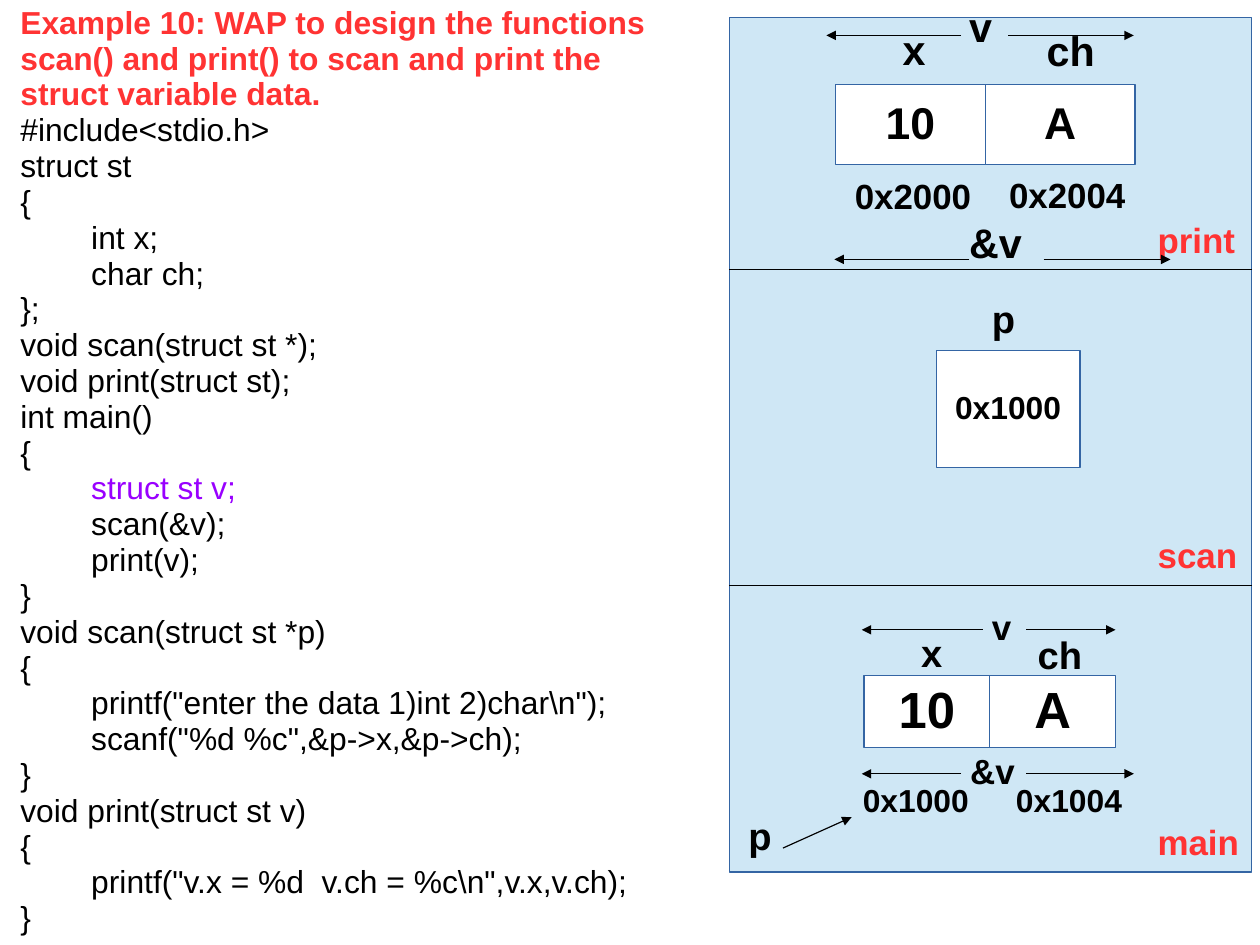
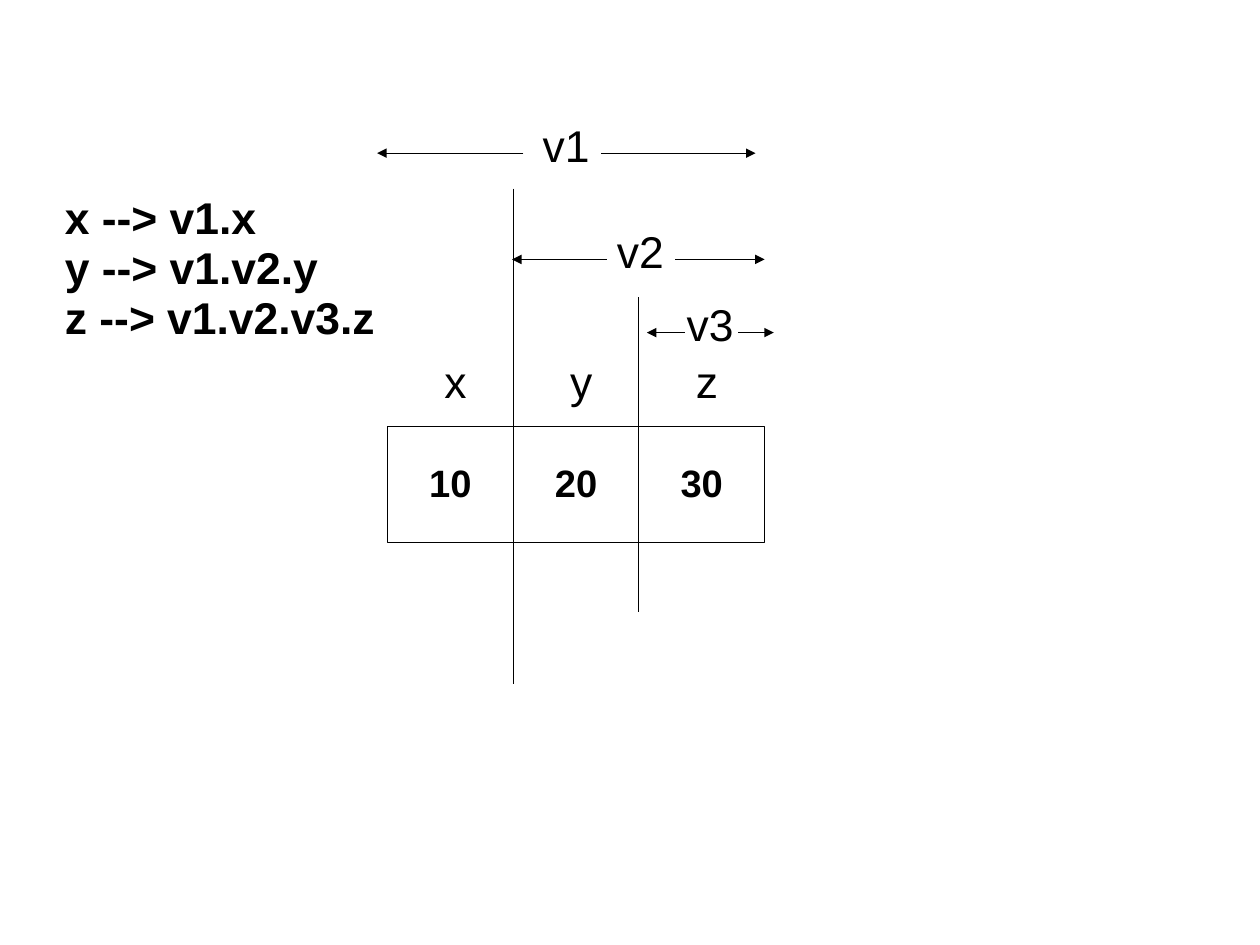
from pptx import Presentation
from pptx.dml.color import RGBColor
from pptx.enum import shapes, text
from pptx.oxml import ns
from pptx.util import Inches, Pt
from lxml import etree

BLACK = RGBColor(0x00, 0x00, 0x00)
WHITE = RGBColor(0xFF, 0xFF, 0xFF)
RED = RGBColor(0xFF, 0x33, 0x33)
PURPLE = RGBColor(0x99, 0x00, 0xFF)
SKY = RGBColor(0xCF, 0xE7, 0xF5)
BLUE = RGBColor(0x34, 0x65, 0xA4)

HEADING = ("Example 10: WAP to design the functions scan() and print() "
           "to scan and print the struct variable data.")
PROGRAM = r'''#include<stdio.h>
struct st
{
    int x;
    char ch;
};
void scan(struct st *);
void print(struct st);
int main()
{
    struct st v;
    scan(&v);
    print(v);
}
void scan(struct st *p)
{
    printf("enter the data 1)int 2)char\n");
    scanf("%d %c",&p->x,&p->ch);
}
void print(struct st v)
{
    printf("v.x = %d  v.ch = %c\n",v.x,v.ch);
}'''


class Deck:
    font_name = "Arial"
    line_spacing = 0.94
    line_width = Pt(0.75)
    code_indent = Inches(0.62)

    def __init__(self, prs):
        self.prs = prs
        self.slide = None

    def new_slide(self):
        self.slide = self.prs.slides.add_slide(self.prs.slide_layouts[6])

    def style(self, paragraph, size, color=BLACK, bold=True):
        paragraph.line_spacing = self.line_spacing
        font = paragraph.font
        font.name, font.size, font.bold = self.font_name, Pt(size), bold
        font.color.rgb = color

    def box(self, x, y, w, h, fill=WHITE, line=BLUE):
        shape = self.slide.shapes.add_shape(
            shapes.MSO_SHAPE.RECTANGLE, Inches(x), Inches(y), Inches(w), Inches(h))
        shape.shadow.inherit = False
        shape.fill.solid()
        shape.fill.fore_color.rgb = fill
        shape.line.color.rgb = line
        shape.line.width = self.line_width
        return shape

    def cells(self, x, y, w, h, values, size, line=BLUE):
        for i, value in enumerate(values):
            frame = self.box(x + i * w, y, w, h, line=line).text_frame
            frame.word_wrap = False
            frame.vertical_anchor = text.MSO_ANCHOR.MIDDLE
            paragraph = frame.paragraphs[0]
            paragraph.text = value
            paragraph.alignment = text.PP_ALIGN.CENTER
            self.style(paragraph, size)

    def text_frame(self, x, y, w, h, wrap=False):
        frame = self.slide.shapes.add_textbox(
            Inches(x), Inches(y), Inches(w), Inches(h)).text_frame
        frame.word_wrap = wrap
        return frame

    def label(self, x, y, w, words, size, color=BLACK, bold=True):
        height = round(size * 1.21 / 72 + 0.1, 2)
        paragraph = self.text_frame(x, y, w, height).paragraphs[0]
        paragraph.text = words
        self.style(paragraph, size, color, bold)

    def lines(self, x, y, w, h, rows, size):
        frame = self.text_frame(x, y, w, h, wrap=True)
        for i, (words, color, bold) in enumerate(rows):
            paragraph = frame.add_paragraph() if i else frame.paragraphs[0]
            paragraph.text = words.lstrip()
            self.style(paragraph, size, color, bold)
            if words.startswith(" "):
                properties = paragraph._p.get_or_add_pPr()
                properties.set("marL", str(self.code_indent))
                properties.set("indent", "0")

    def line(self, x1, y1, x2, y2, arrow=False):
        connector = self.slide.shapes.add_connector(
            shapes.MSO_CONNECTOR.STRAIGHT,
            Inches(x1), Inches(y1), Inches(x2), Inches(y2))
        connector.line.color.rgb = BLACK
        connector.line.width = self.line_width
        properties = connector._element.spPr
        if arrow:
            etree.SubElement(properties.find(ns.qn("a:ln")),
                             ns.qn("a:tailEnd"), type="triangle")
        etree.SubElement(properties, ns.qn("a:effectLst"))

    def span(self, y, left, gap_left, gap_right, right):
        self.line(gap_left, y, left, y, arrow=True)
        self.line(gap_right, y, right, y, arrow=True)


def stack_frames(deck):
    deck.new_slide()
    left, width = 6.38, 4.57
    deck.box(left, 0.15, width, 7.48, fill=SKY)
    for y in (2.36, 5.12):
        deck.line(left, y, left + width, y)
    for name, y in (("print", 1.89), ("scan", 4.65), ("main", 7.16)):
        deck.label(10.03, y, 0.95, name, 22, RED)

    rows = [(HEADING, RED, True)]
    for code in PROGRAM.splitlines():
        color = PURPLE if code.strip() == "struct st v;" else BLACK
        rows.append((code, color, False))
    deck.lines(0.08, 0, 5.9, 7.48, rows, 20)

    deck.cells(7.31, 0.74, 1.31, 0.7, ("10", "A"), 28)
    deck.cells(8.19, 3.07, 1.26, 1.02, ("0x1000",), 20)
    deck.cells(7.56, 5.91, 1.1, 0.63, ("10", "A"), 32)

    for words, x, y, w, size in (
            ("v", 8.38, 0, 0.44, 26), ("x", 7.8, 0.2, 0.47, 26),
            ("ch", 9.06, 0.21, 1, 26), ("&v", 8.38, 1.89, 0.83, 26),
            ("0x2000", 7.38, 1.51, 1.22, 22), ("0x2004", 8.73, 1.5, 1.22, 22),
            ("p", 8.58, 2.57, 0.42, 24), ("p", 6.45, 7.09, 0.42, 24),
            ("v", 8.58, 5.28, 0.39, 22), ("x", 7.96, 5.49, 0.4, 24),
            ("ch", 8.98, 5.51, 0.61, 24), ("&v", 8.39, 6.54, 0.61, 22),
            ("0x1000", 7.45, 6.81, 1.15, 20), ("0x1004", 8.79, 6.81, 1.15, 20)):
        deck.label(x, y, w, words, size)

    deck.span(0.31, 7.23, 8.41, 8.82, 9.92)
    deck.span(2.27, 7.3, 8.48, 9.13, 10.24)
    deck.span(5.51, 7.54, 8.6, 8.98, 9.76)
    deck.span(6.77, 7.54, 8.41, 8.98, 9.92)
    deck.line(6.85, 7.42, 7.45, 7.15, arrow=True)


def nested_members(deck):
    deck.new_slide()
    left, cell = 3.39, 1.1
    deck.cells(left, 3.73, cell, 1.02, ("10", "20", "30"), 24, line=BLACK)
    for i, member in enumerate("xyz"):
        deck.label(left + 0.4 + i * cell, 3.09, 0.41, member, 28, bold=False)

    for name, x, y, ends in (("v1", 4.65, 1.02, (3.3, 4.58, 5.26, 6.61)),
                             ("v2", 5.3, 1.95, (4.48, 5.31, 5.91, 6.69)),
                             ("v3", 5.91, 2.59, (5.66, 5.99, 6.46, 6.77))):
        deck.label(x, y, 0.63, name, 28, bold=False)
        deck.span(y + 0.32, *ends)

    for i, (top, bottom) in enumerate(((1.65, 5.98), (2.6, 5.35)), start=1):
        deck.line(left + i * cell, top, left + i * cell, bottom)

    access = ("x --> v1.x", "y --> v1.v2.y", "z --> v1.v2.v3.z")
    deck.lines(0.47, 1.65, 3, 1.44, [(row, BLACK, True) for row in access], 28)


def main():
    prs = Presentation()
    prs.slide_width = Inches(28 / 2.54)
    prs.slide_height = Inches(21 / 2.54)
    deck = Deck(prs)
    stack_frames(deck)
    nested_members(deck)
    prs.save("out.pptx")


if __name__ == "__main__":
    main()
